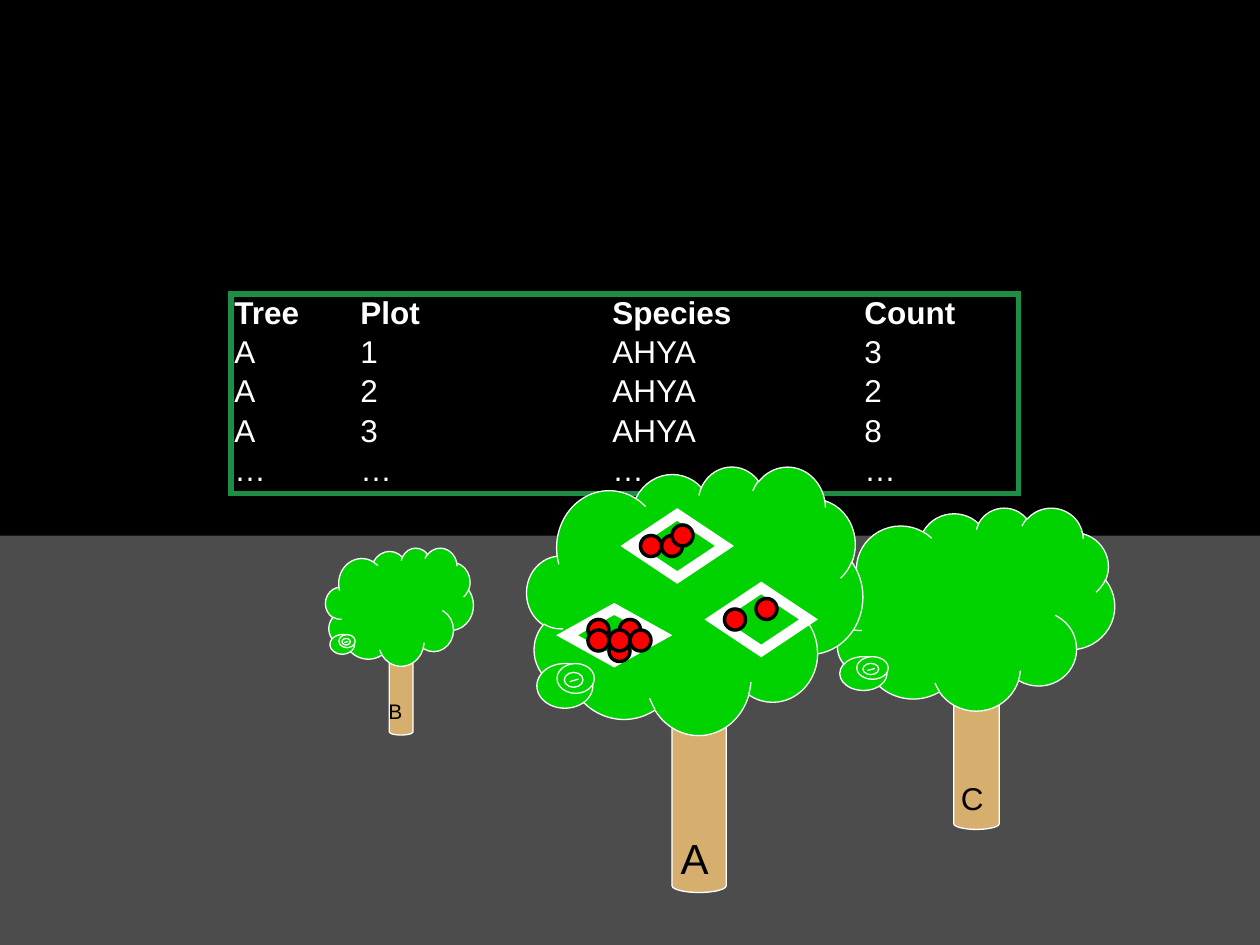
"""Build a slide of three sampled trees with a table of counts per plot."""
from lxml.etree import SubElement
from pptx import Presentation
from pptx.dml.color import RGBColor
from pptx.enum.shapes import MSO_CONNECTOR as Connector, MSO_SHAPE as Shape
from pptx.oxml.ns import qn
from pptx.util import Pt

WHITE, BLACK, GREEN = "FFFFFF", "000000", "00D300"
COUNTS = [
    "Tree\tPlot\t\tSpecies\t\tCount",
    "A\t1\t\tAHYA\t\t3",
    "A\t2\t\tAHYA\t\t2",
    "A\t3\t\tAHYA\t\t8",
    "…\t…\t\t…\t\t…",
]
PUFFS = [(0.03, 0.735, 1 / 6), (0.09, 0.735, 1 / 9), (0.112, 0.768, 1 / 18)]
TREES = {
    "A": {"trunk": (384, 356.4, 31, 153.6), "crown": (301, 266.4, 192, 153.4)},
    "B": {"trunk": (222.5, 352, 13.5, 68), "crown": (186, 313, 84.5, 67.5)},
    "C": {"trunk": (545, 358, 26, 116), "crown": (475, 290, 162, 116)},
}
PLOTS = [(324, 348, 54, 30), (360, 294, 54, 36), (408, 336, 54, 36)]
BERRIES = [
    (414, 348), (432, 342), (378, 306), (336, 354), (348, 366), (354, 354),
    (336, 360), (348, 360), (360, 360), (366, 306), (384, 300),
]
LABELS = [("A", (386, 474.5, 15, 35), 24), ("B", (219, 398.5, 14.4, 21.6), 12),
          ("C", (546, 444.5, 15, 28), 18)]


def color(hex_value):
    """Turn a hex string into a colour."""
    return RGBColor.from_string(hex_value)


def add_figure(slide, kind, box, fill=None, line=None, width=0.75):
    """Add a preset shape with an optional fill and outline."""
    shape = slide.shapes.add_shape(kind, *map(Pt, box))
    shape.shadow.inherit = False
    if fill:
        shape.fill.solid()
        shape.fill.fore_color.rgb = color(fill)
    else:
        shape.fill.background()
    if line:
        shape.line.color.rgb = color(line)
        shape.line.width = Pt(width)
        outline = shape._element.spPr.find(qn("a:ln"))
        SubElement(outline, qn("a:miter"), lim="800000")
    else:
        shape.line.fill.background()
    return shape


def add_stroke(slide, start, end):
    """Add a thin white line."""
    stroke = slide.shapes.add_connector(Connector.STRAIGHT, *map(Pt, start + end))
    stroke.line.color.rgb = color(WHITE)
    stroke.line.width = Pt(0.75)
    SubElement(stroke._element.spPr, qn("a:effectLst"))


def add_tree(slide, trunk, crown):
    """Add a trunk, a crown and the small puffs at the crown's lower left."""
    add_figure(slide, Shape.CAN, trunk, "D6AF6E", WHITE)
    add_figure(slide, Shape.CLOUD, crown, GREEN, WHITE)
    left, top, width, height = crown
    for across, down, size in PUFFS:
        box = (left + across * width, top + down * height, size * width, size * height)
        add_figure(slide, Shape.OVAL, box, GREEN, WHITE)
    add_stroke(slide, (left + 0.128 * width, top + 0.803 * height),
               (left + 0.154 * width, top + 0.793 * height))


def add_text(slide, lines, box, size=18, hex_value=BLACK, bold_first=False, tabs=()):
    """Add a text box with one paragraph per line."""
    frame = slide.shapes.add_textbox(*map(Pt, box)).text_frame
    frame.word_wrap = True
    frame.margin_left = frame.margin_right = Pt(3)
    frame.margin_top = frame.margin_bottom = 0
    for index, line in enumerate(lines):
        paragraph = frame.add_paragraph() if index else frame.paragraphs[0]
        paragraph.line_spacing = 1.04
        if tabs:
            stops = SubElement(paragraph._p.get_or_add_pPr(), qn("a:tabLst"))
            for stop in tabs:
                SubElement(stops, qn("a:tab"), pos=str(Pt(stop)), algn="l")
        run = paragraph.add_run()
        run.text = line
        run.font.name = "Arial"
        run.font.size = Pt(size)
        run.font.bold = bold_first and index == 0
        run.font.color.rgb = color(hex_value)


def main():
    """Build and save the slide."""
    presentation = Presentation()
    presentation.slide_width, presentation.slide_height = Pt(720), Pt(540)
    slide = presentation.slides.add_slide(presentation.slide_layouts[6])
    slide.background.fill.solid()
    slide.background.fill.fore_color.rgb = color(BLACK)

    add_figure(slide, Shape.RECTANGLE, (0, 306, 720, 234), "4C4C4C")
    add_tree(slide, **TREES["C"])
    add_figure(slide, Shape.RECTANGLE, (132, 168, 450, 114), line="1E8D45", width=3)
    add_tree(slide, **TREES["A"])
    add_text(slide, COUNTS, (131, 166.5, 583, 112), hex_value=WHITE,
             bold_first=True, tabs=range(72, 505, 72))
    for plot in PLOTS:
        add_figure(slide, Shape.DIAMOND, plot, line=WHITE, width=6)
    for berry in BERRIES:
        add_figure(slide, Shape.OVAL, berry + (12, 12), "FF0000", BLACK, 2)
    add_tree(slide, **TREES["B"])
    for letter, box, size in LABELS:
        add_text(slide, [letter], box, size)

    presentation.save("out.pptx")


if __name__ == "__main__":
    main()
